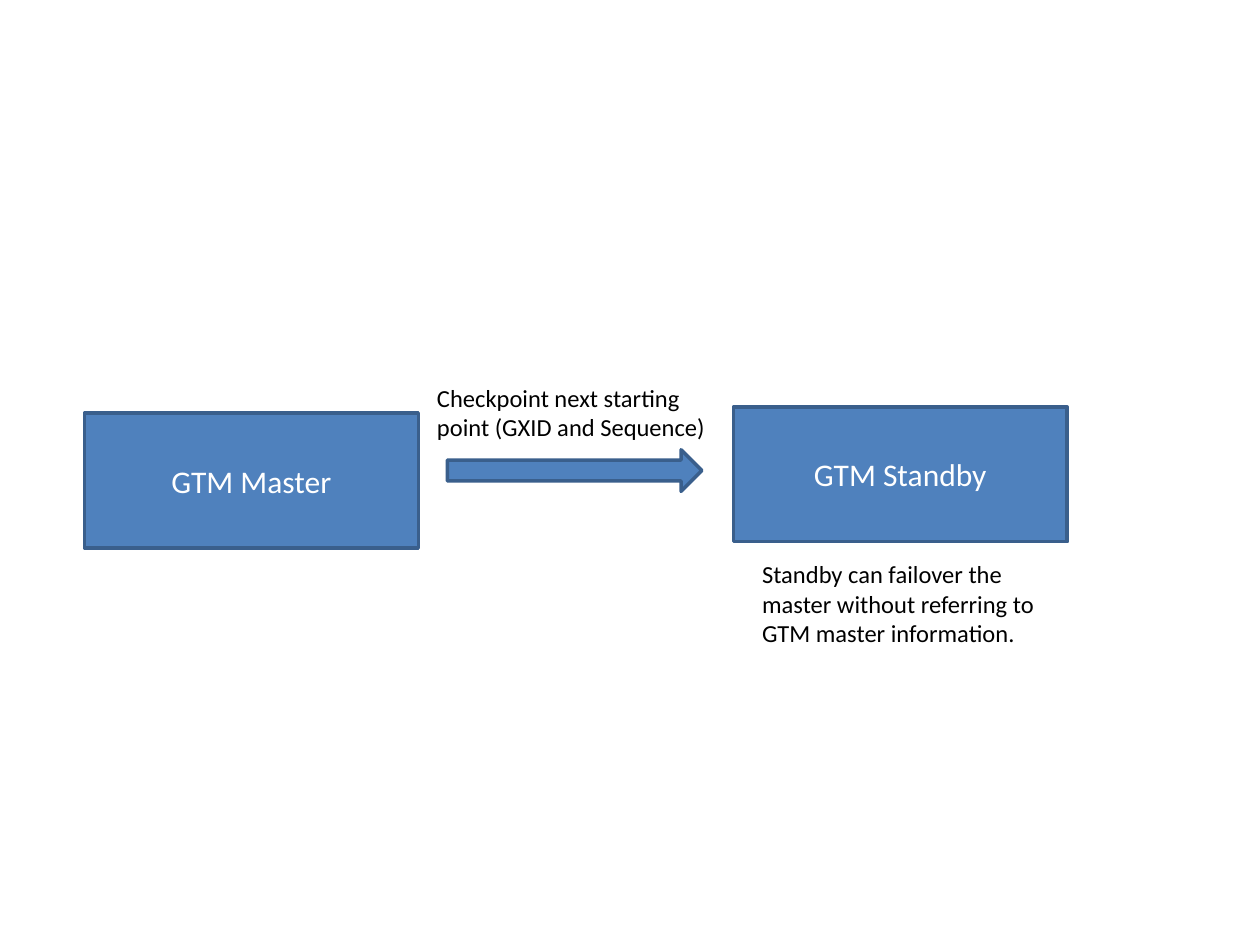
from pptx import Presentation
from pptx import util as u
from pptx.dml.color import RGBColor
from pptx.enum import shapes, text

BLUE = RGBColor(0x4F, 0x81, 0xBD)
OUTLINE = RGBColor(0x3A, 0x5F, 0x8C)
WHITE = RGBColor(255, 255, 255)
BLACK = RGBColor(0, 0, 0)
FONT = "Calibri"

NODE_SIZE = (2.65, 1.07)
NOTE_WIDTH = 2.47

# Content: wording with left and top in inches
NODES = [("GTM Master", 0.67, 3.28), ("GTM Standby", 5.82, 3.23)]
NOTES = [  # wording, left, top, height
    ("Checkpoint next starting point (GXID and Sequence)", 3.37, 2.99, 0.57),
    ("Standby can failover the master without referring to GTM master information.",
     5.95, 4.39, 0.81),
]
ARROW = (3.55, 3.57, 2.02, 0.33)


def write(shape, wording, size, color, alignment):
    """Put one formatted run into a shape."""
    shape.text_frame.word_wrap = True
    paragraph = shape.text_frame.paragraphs[0]
    paragraph.alignment = alignment
    run = paragraph.add_run()
    run.text = wording
    run.font.name = FONT
    run.font.size = u.Pt(size)
    run.font.color.rgb = color


def add_block(slide, kind, box):
    """Add a blue outlined preset shape."""
    shape = slide.shapes.add_shape(kind, *map(u.Inches, box))
    shape.shadow.inherit = False
    shape.fill.solid()
    shape.fill.fore_color.rgb = BLUE
    shape.line.color.rgb = OUTLINE
    shape.line.width = u.Pt(2)
    return shape


def add_node(slide, wording, left, top):
    """Add a server box with a centred label."""
    node = add_block(slide, shapes.MSO_SHAPE.RECTANGLE, (left, top, *NODE_SIZE))
    node.text_frame.vertical_anchor = text.MSO_ANCHOR.MIDDLE
    write(node, wording, 18, WHITE, text.PP_ALIGN.CENTER)


def add_note(slide, wording, left, top, height):
    """Add a wrapped explanatory text box."""
    note = slide.shapes.add_textbox(*map(u.Inches, (left, top, NOTE_WIDTH, height)))
    write(note, wording, 14, BLACK, text.PP_ALIGN.LEFT)
    note.text_frame.auto_size = text.MSO_AUTO_SIZE.SHAPE_TO_FIT_TEXT


presentation = Presentation()
presentation.slide_width = u.Inches(10)
presentation.slide_height = u.Inches(7.5)
slide = presentation.slides.add_slide(presentation.slide_layouts[6])

for node in NODES:
    add_node(slide, *node)
add_block(slide, shapes.MSO_SHAPE.RIGHT_ARROW, ARROW)
for note in NOTES:
    add_note(slide, *note)

presentation.save("out.pptx")
